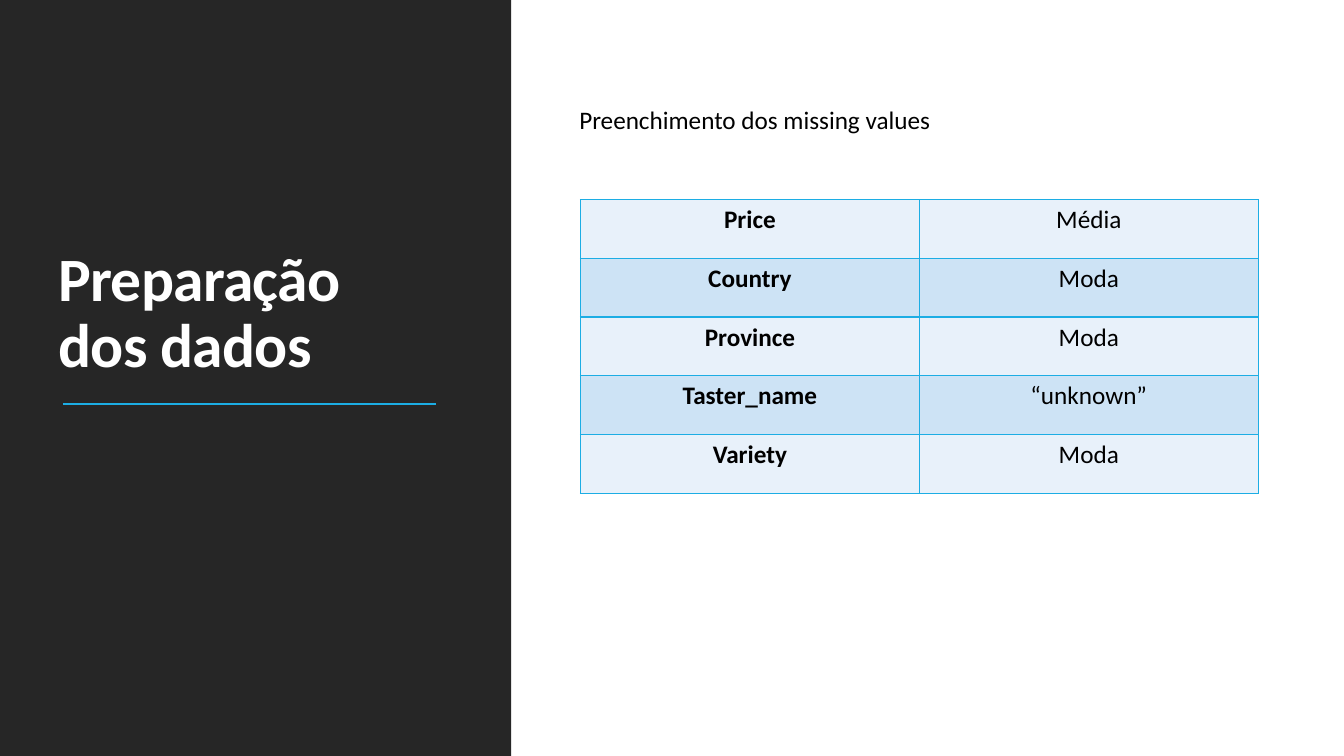
from lxml.etree import SubElement
from pptx import Presentation
from pptx.dml.color import RGBColor
from pptx.enum.shapes import MSO_CONNECTOR, MSO_SHAPE
from pptx.enum.text import MSO_ANCHOR, MSO_AUTO_SIZE, PP_ALIGN
from pptx.oxml.ns import qn
from pptx.util import Cm, Pt

TITLE = "Preparação dos dados"
CAPTION = "Preenchimento dos missing values"
FILL_RULES = [
    ("Price", "Média"),
    ("Country", "Moda"),
    ("Province", "Moda"),
    ("Taster_name", "“unknown”"),
    ("Variety", "Moda"),
]
FONT = "Calibri"
DARK, ACCENT, WHITE, BLACK = "262626", "1CADE4", "FFFFFF", "000000"
BANDS = ("E8F1FA", "CDE3F5")
SLIDE_W, SLIDE_H = 33.87, 19.05
PANEL_W = 12.88
COL_W, ROW_H = 8.54, 1.48


def color(hex_code):
    return RGBColor.from_string(hex_code)


def write(tf, text, size=18, ink=BLACK, bold=False, align=PP_ALIGN.LEFT,
          line_spacing=None, tracking=None):
    p = tf.paragraphs[0]
    p.alignment = align
    p.line_spacing = line_spacing
    r = p.add_run()
    r.text = text
    r.font.name, r.font.size, r.font.bold = FONT, Pt(size), bold
    r.font.color.rgb = color(ink)
    if tracking is not None:
        r.font._element.set("spc", str(round(tracking * 100)))


def add_text_frame(s, left, top, width, height):
    tf = s.shapes.add_textbox(Cm(left), Cm(top), Cm(width), Cm(height)).text_frame
    tf.word_wrap = True
    return tf


def add_borders(cell):
    """Outline all four sides; border elements must precede the fill."""
    tc_pr = cell._tc.get_or_add_tcPr()
    for i, side in enumerate(("lnL", "lnR", "lnT", "lnB")):
        ln = SubElement(tc_pr, qn(f"a:{side}"), w=str(Pt(1)))
        fill = SubElement(ln, qn("a:solidFill"))
        SubElement(fill, qn("a:srgbClr"), val=ACCENT)
        tc_pr.insert(i, ln)


def add_panel(s):
    sp = s.shapes.add_shape(MSO_SHAPE.RECTANGLE, 0, 0, Cm(PANEL_W), Cm(SLIDE_H))
    sp.shadow.inherit = False
    sp.fill.solid()
    sp.fill.fore_color.rgb = color(DARK)
    sp.line.fill.background()

    tf = add_text_frame(s, 1.22, 1.78, 10.16, 7.95)
    tf.margin_right = Cm(0.5)
    tf.vertical_anchor = MSO_ANCHOR.BOTTOM
    write(tf, TITLE, size=44, ink=WHITE, bold=True, line_spacing=0.9, tracking=-0.5)

    rule = s.shapes.add_connector(MSO_CONNECTOR.STRAIGHT,
                                  Cm(1.6), Cm(10.19), Cm(11), Cm(10.19))
    rule.line.color.rgb = color(ACCENT)
    rule.line.width = Pt(1.5)
    SubElement(rule._element.spPr, qn("a:effectLst"))


def add_rules_table(s):
    rows, cols = len(FILL_RULES), len(FILL_RULES[0])
    table = s.shapes.add_table(rows, cols, Cm(14.63), Cm(5.03),
                               Cm(cols * COL_W), Cm(rows * ROW_H)).table
    table.first_row = table.horz_banding = False
    for i, rule in enumerate(FILL_RULES):
        for j, text in enumerate(rule):
            cell = table.cell(i, j)
            cell.fill.solid()
            cell.fill.fore_color.rgb = color(BANDS[i % 2])
            add_borders(cell)
            write(cell.text_frame, text, bold=j == 0, align=PP_ALIGN.CENTER)


def main():
    prs = Presentation()
    prs.slide_width, prs.slide_height = Cm(SLIDE_W), Cm(SLIDE_H)
    s = prs.slides.add_slide(prs.slide_layouts[6])
    add_panel(s)
    tf = add_text_frame(s, 14.35, 2.51, 9.86, 1.02)
    tf.auto_size = MSO_AUTO_SIZE.SHAPE_TO_FIT_TEXT
    write(tf, CAPTION)
    add_rules_table(s)
    prs.save("out.pptx")


if __name__ == "__main__":
    main()
